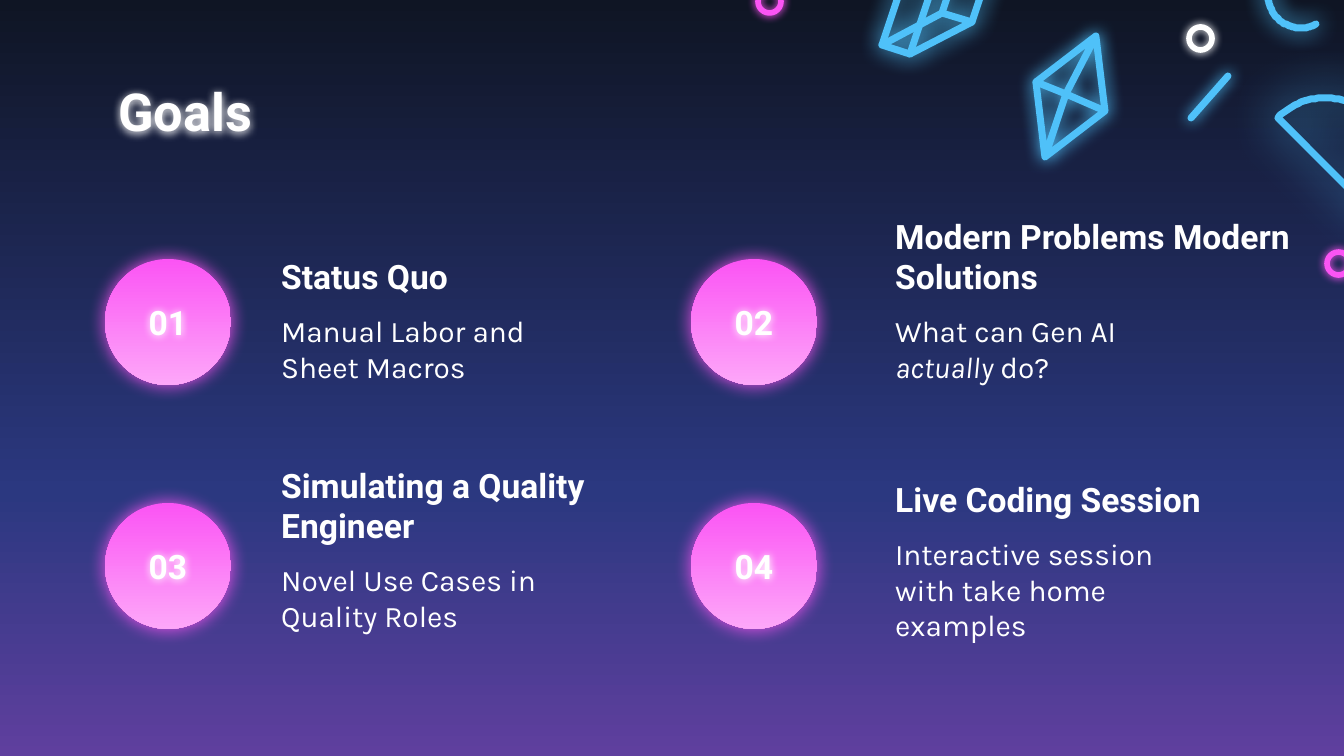
from dataclasses import dataclass
from math import cos, radians, sin

from lxml import etree
from pptx import Presentation
from pptx.dml.color import RGBColor
from pptx.enum.shapes import MSO_CONNECTOR, MSO_SHAPE
from pptx.enum.text import MSO_ANCHOR, PP_ALIGN
from pptx.oxml.ns import qn
from pptx.util import Emu, Pt

ELLIPSE = MSO_SHAPE.OVAL
STRAIGHT = MSO_CONNECTOR.STRAIGHT
TOP, MIDDLE, BOTTOM = MSO_ANCHOR.TOP, MSO_ANCHOR.MIDDLE, MSO_ANCHOR.BOTTOM
LEFT, CENTER = PP_ALIGN.LEFT, PP_ALIGN.CENTER
EMU_PER_PX = 914400 / 134.4
SLIDE_WIDTH, SLIDE_HEIGHT = 1344, 756


@dataclass(frozen=True)
class Theme:
    white: str = "FFFFFF"
    pink: str = "FB54F4"
    blue: str = "4FC1F9"
    background: tuple = ((0, "0F1524"), (65, "2B3880"), (100, "5F3F9E"))
    badge: tuple = ((0, "FB54F4"), (100, "FDA7F9"))
    heading_font: str = "Roboto"
    body_font: str = "Karla"
    title_size: int = 28
    heading_size: int = 18
    body_size: int = 16


THEME = Theme()
BADGE_SIZE = 126
BADGE_LEFTS, BADGE_TOPS = (105, 691), (259, 503)
TEXT_LEFTS = (268, 882)

# Heading, heading top, heading width, body runs as (text, italic)
GOALS = (
    ("Status Quo", 239, 340, [("Manual Labor and Sheet Macros", False)]),
    ("Modern Problems Modern Solutions", 239, 429,
     [("What can Gen AI ", False), ("actually", True), (" do?", False)]),
    ("Simulating a Quality Engineer", 488, 340,
     [("Novel Use Cases in Quality Roles", False)]),
    ("Live Coding Session", 462, 415,
     [("Interactive session with take home examples", False)]),
)


def px(*lengths):
    return [Emu(round(length * EMU_PER_PX)) for length in lengths]


def set_gradient(fill, element, stops):
    """Fill from top to bottom with any number of (percent, colour) stops."""
    fill.gradient()
    fill.gradient_angle = 270
    stop_list = element.find(".//" + qn("a:gsLst"))
    for stop in list(stop_list):
        stop_list.remove(stop)
    for percent, color in stops:
        stop = etree.SubElement(stop_list, qn("a:gs"), pos=str(percent * 1000))
        etree.SubElement(stop, qn("a:srgbClr"), val=color)


def add_glow(shape, color, blur):
    """Add a centred soft shadow; call after fill and line are set."""
    effects = etree.SubElement(shape._element.spPr, qn("a:effectLst"))
    shadow = etree.SubElement(effects, qn("a:outerShdw"), blurRad=str(Pt(blur)),
                              dist="0", algn="ctr", rotWithShape="0")
    etree.SubElement(shadow, qn("a:srgbClr"), val=color)


def set_line(shape, color, width):
    shape.line.color.rgb = RGBColor.from_string(color)
    shape.line.width = Pt(width)
    line = shape.line._get_or_add_ln()
    line.set("cap", "rnd")
    etree.SubElement(line, qn("a:round"))


def add_ring(slide, left, top, color):
    ring = slide.shapes.add_shape(ELLIPSE, *px(left, top, 23, 23))
    ring.fill.background()
    set_line(ring, color, 3)
    add_glow(ring, color, 4.5)


def add_outline(slide, contours, blur):
    """Draw open polylines, each a list of px points, as one glowing shape."""
    builder = slide.shapes.build_freeform(*contours[0][0], scale=EMU_PER_PX)
    for index, points in enumerate(contours):
        if index:
            builder.move_to(*points[0])
        builder.add_line_segments(points[1:], close=False)
    outline = builder.convert_to_shape()
    outline.fill.background()
    set_line(outline, THEME.blue, 3.75)
    add_glow(outline, THEME.blue, blur)


def arc_points(center_x, center_y, radius, start, end):
    return [(center_x + radius * cos(radians(angle)),
             center_y + radius * sin(radians(angle)))
            for angle in range(start, end + 1, 3)]


def add_decorations(slide):
    for left, top, color in ((1189, 27, THEME.white), (1327, 252, THEME.pink),
                             (758, -10, THEME.pink)):
        add_ring(slide, left, top, color)

    add_outline(slide, [arc_points(1301, -5, 33, 63, 204)], 12.4)

    tip, left, right, foot, center = ((1096, 36), (1036, 82), (1105, 111),
                                      (1045, 157), (1066, 94))
    add_outline(slide, [[tip, left, foot, right, tip, center, foot],
                        [left, center, right]], 9)

    base = [(882, 45), (910, 54), (972, 22), (942, 13)]
    lid = [(x + 30, y - 90) for x, y in base]
    edges = [list(edge) for edge in zip(base, lid)]
    add_outline(slide, [base + base[:1], lid + lid[:1], *edges], 12.4)

    half_disc = arc_points(1325, 165, 67, 225, 405)
    add_outline(slide, [half_disc + half_disc[:1]], 27)

    slash = slide.shapes.add_connector(STRAIGHT, *px(1191, 118, 1228, 76))
    set_line(slash, THEME.blue, 3.75)
    add_glow(slash, THEME.blue, 7.9)


def add_text(slide, box, runs, size, font, bold=True, anchor=TOP, align=LEFT):
    text_box = slide.shapes.add_textbox(*px(*box))
    frame = text_box.text_frame
    margins = dict.fromkeys(("margin_left", "margin_top", "margin_right",
                             "margin_bottom"), Pt(7.2))
    frame_format = {"word_wrap": True, "vertical_anchor": anchor, **margins}
    for name, value in frame_format.items():
        setattr(frame, name, value)
    paragraph = frame.paragraphs[0]
    paragraph.alignment = align
    for text, italic in runs:
        run = paragraph.add_run()
        run.text = text
        run_format = {"size": Pt(size), "name": font, "bold": bold, "italic": italic}
        for name, value in run_format.items():
            setattr(run.font, name, value)
        run.font.color.rgb = RGBColor.from_string(THEME.white)
    return text_box


def add_badge(slide, left, top):
    badge = slide.shapes.add_shape(ELLIPSE, *px(left, top, BADGE_SIZE, BADGE_SIZE))
    set_gradient(badge.fill, badge._element, THEME.badge)
    badge.line.fill.background()
    add_glow(badge, THEME.pink, 10.1)


def add_goal(slide, index, heading, heading_top, heading_width, body):
    row, column = divmod(index, 2)
    badge_left, badge_top = BADGE_LEFTS[column], BADGE_TOPS[row]
    text_left = TEXT_LEFTS[column]
    add_badge(slide, badge_left, badge_top)
    number = add_text(slide, (badge_left + 17, badge_top + 27, 92, 72),
                      [(f"{index + 1:02}", False)], THEME.heading_size,
                      THEME.heading_font, anchor=MIDDLE, align=CENTER)
    add_glow(number, THEME.white, 4.5)
    add_text(slide, (text_left, heading_top, heading_width, 71), [(heading, False)],
             THEME.heading_size, THEME.heading_font, anchor=BOTTOM)
    add_text(slide, (text_left, heading_top + 60, 340, 108), body,
             THEME.body_size, THEME.body_font, bold=False)


def main():
    presentation = Presentation()
    presentation.slide_width, presentation.slide_height = px(SLIDE_WIDTH, SLIDE_HEIGHT)
    slide = presentation.slides.add_slide(presentation.slide_layouts[6])
    set_gradient(slide.background.fill, slide._element, THEME.background)
    add_decorations(slide)
    title = add_text(slide, (105, 66, 1134, 85), [("Goals", False)],
                     THEME.title_size, THEME.heading_font)
    add_glow(title, THEME.white, 4.5)
    for index, goal in enumerate(GOALS):
        add_goal(slide, index, *goal)
    presentation.save("out.pptx")


if __name__ == "__main__":
    main()
